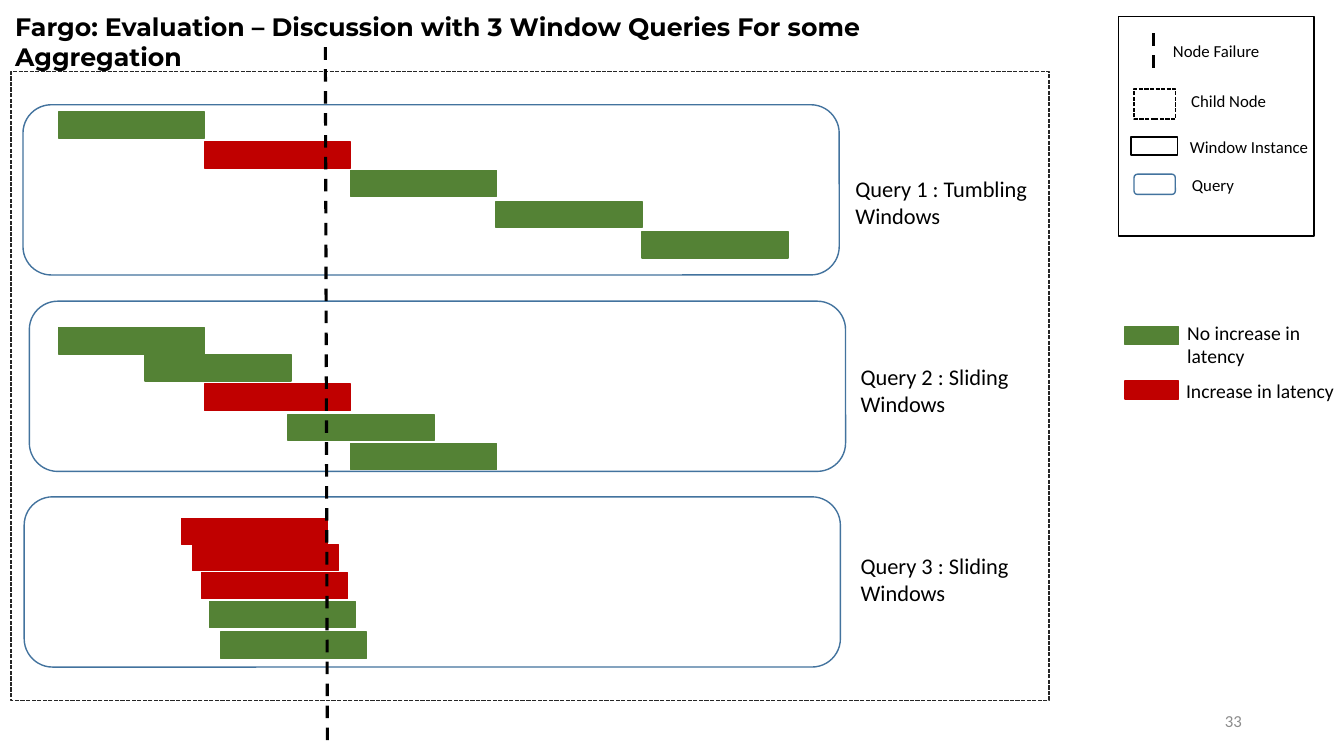
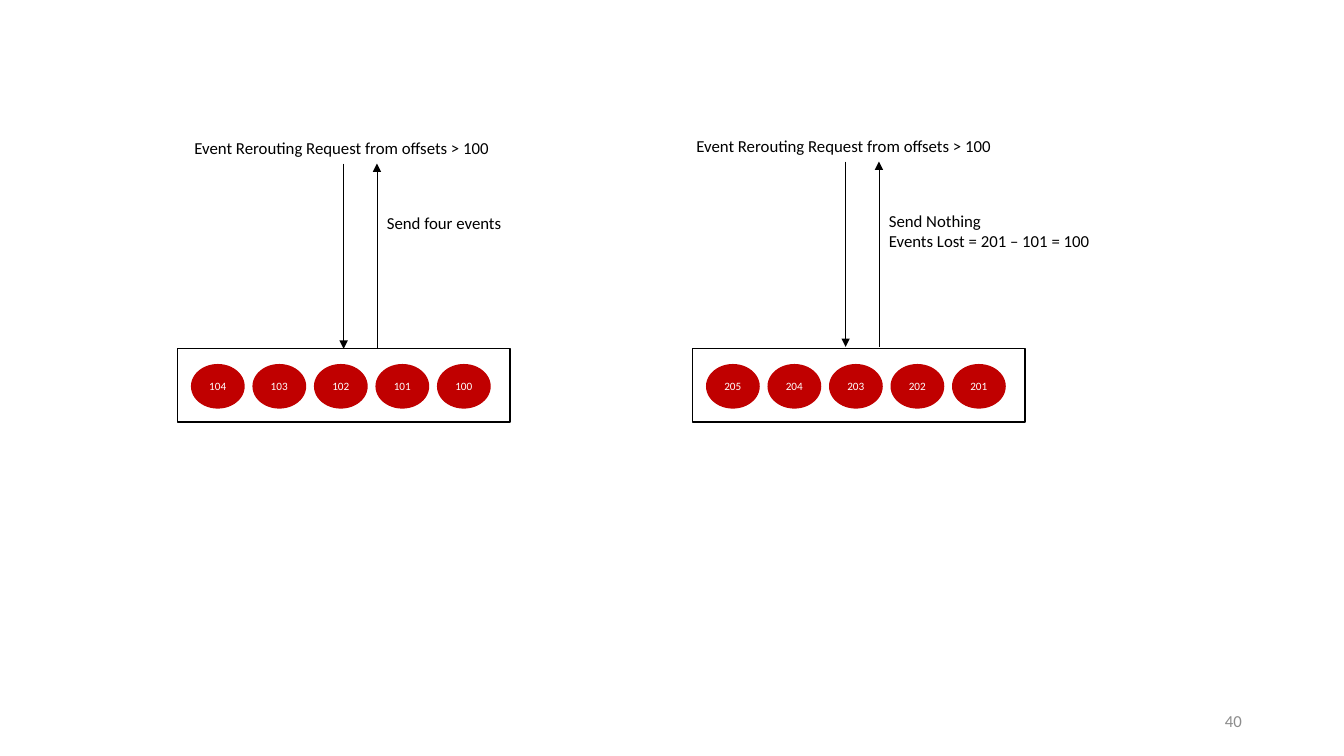
"""Build two slides on window query latency and event rerouting after a node failure."""
from lxml import etree
from pptx import Presentation
from pptx.dml.color import RGBColor
from pptx.enum import dml, shapes, text
from pptx.oxml.ns import qn
from pptx.util import Cm, Pt

BLACK = RGBColor(0x00, 0x00, 0x00)
WHITE = RGBColor(0xFF, 0xFF, 0xFF)
GREY = RGBColor(0x8C, 0x8C, 0x8C)
CHARCOAL = RGBColor(0x26, 0x26, 0x26)
BLUE = RGBColor(0x43, 0x73, 0x9E)
GREEN = RGBColor(0x54, 0x82, 0x35)
RED = RGBColor(0xC0, 0x00, 0x00)

BODY_FONT, TITLE_FONT = "Calibri", "Montserrat"
RECTANGLE = shapes.MSO_SHAPE.RECTANGLE
ROUNDED = shapes.MSO_SHAPE.ROUNDED_RECTANGLE
OVAL = shapes.MSO_SHAPE.OVAL
DASH = dml.MSO_LINE.DASH
FINE_DASH = dml.MSO_LINE.SQUARE_DOT

TITLE = "Fargo: Evaluation – Discussion with 3 Window Queries For some Aggregation"
QUERY_SIZE = (20.57, 4.29)
WINDOW_SIZE = (3.68, 0.66)
QUERIES = [
    {"frame": (0.58, 2.64), "label": "Query 1 : Tumbling Windows", "label_at": (21.31, 4.29),
     "windows": [(1.47, 2.82, GREEN), (5.16, 3.58, RED), (8.84, 4.29, GREEN),
                 (12.5, 5.08, GREEN), (16.18, 5.84, GREEN)]},
    {"frame": (0.74, 7.59), "label": "Query 2 : Sliding\nWindows", "label_at": (21.44, 9.02),
     "windows": [(1.47, 8.26, GREEN), (3.66, 8.94, GREEN), (5.16, 9.68, RED),
                 (7.26, 10.44, GREEN), (8.84, 11.18, GREEN)]},
    {"frame": (0.61, 12.52), "label": "Query 3 : Sliding\nWindows", "label_at": (21.44, 13.79),
     "windows": [(4.57, 13.06, RED), (4.85, 13.72, RED), (5.08, 14.43, RED),
                 (5.28, 15.16, GREEN), (5.56, 15.93, GREEN)]},
]
CHILD_NODE = (0.28, 1.8, 26.16, 15.85)
FAILURE_LINES = [(8.2, 1.19, 8.25, 18.67), (29.06, 0.84, 29.06, 1.85)]

LEGEND_PANEL = (28.19, 0.41, 4.93, 5.54)
LEGEND_KEYS = [
    (RECTANGLE, (28.58, 2.24, 1.04, 0.76), None, BLACK, FINE_DASH),
    (RECTANGLE, (28.5, 3.45, 1.17, 0.46), WHITE, BLACK, None),
    (ROUNDED, (28.58, 4.39, 1.04, 0.51), None, BLUE, None),
    (RECTANGLE, (28.35, 8.23, 1.35, 0.46), GREEN, GREEN, None),
    (RECTANGLE, (28.35, 9.6, 1.35, 0.46), RED, RED, None),
]
LEGEND_LABELS = [
    ("Node Failure", (29.31, 0.89, 2.72, 0.76), 12),
    ("Child Node", (29.77, 2.16, 2.41, 0.76), 12),
    ("Window Instance", (29.74, 3.33, 3.53, 0.76), 12),
    ("Query", (29.79, 4.29, 1.57, 0.76), 12),
    ("No increase in\nlatency", (29.67, 7.95, 3.38, 1.45), 14),
    ("Increase in latency", (29.64, 9.42, 4.27, 0.86), 14),
]

REQUEST = "Event Rerouting Request from offsets > 100"
BUFFER_SIZE = (8.38, 1.85)
EVENT_SIZE = (1.32, 1.09)
EVENT_PITCH = 1.55
EXCHANGES = [
    {"at": (4.65, 3.35), "buffer": (4.47, 8.79), "events": range(104, 99, -1),
     "reply": "Send four events", "reply_size": (3.53, 0.76)},
    {"at": (17.3, 3.3), "buffer": (17.45, 8.79), "events": range(205, 200, -1),
     "reply": "Send Nothing\nEvents Lost = 201 – 101 = 100", "reply_size": (5.64, 1.27)},
]


def lengths(values):
    return [Cm(value) for value in values]


def format_text(frame, content, size, color=BLACK, font=BODY_FONT, bold=False, align=None):
    frame.text = content
    for paragraph in frame.paragraphs:
        paragraph.alignment = align
        paragraph.font.name, paragraph.font.size = font, Pt(size)
        paragraph.font.color.rgb, paragraph.font.bold = color, bold


def add_label(slide, content, box, size, wrap=False, **style):
    frame = slide.shapes.add_textbox(*lengths(box)).text_frame
    frame.word_wrap = wrap
    format_text(frame, content, size, **style)
    return frame


def add_box(slide, kind, box, fill, outline, dash=None):
    shape = slide.shapes.add_shape(kind, *lengths(box))
    shape.shadow.inherit = False
    if fill is None:
        shape.fill.background()
    else:
        shape.fill.solid()
        shape.fill.fore_color.rgb = fill
    shape.line.color.rgb, shape.line.width = outline, Pt(1)
    if dash:
        shape.line.dash_style = dash
    return shape


def add_line(slide, ends, width, dash=None, arrow=False):
    line = slide.shapes.add_connector(shapes.MSO_CONNECTOR.STRAIGHT, *lengths(ends))
    line.line.color.rgb, line.line.width = BLACK, Pt(width)
    if dash:
        line.line.dash_style = dash
    if arrow:
        etree.SubElement(line.line._get_or_add_ln(), qn("a:tailEnd"), type="triangle")
    etree.SubElement(line._element.spPr, qn("a:effectLst"))
    return line


def add_page(presentation, layout, number):
    slide = presentation.slides.add_slide(presentation.slide_layouts.get_by_name(layout))
    frame = add_label(slide, str(number), (23.93, 17.65, 7.62, 1.02), 12, wrap=True,
                      color=GREY, align=text.PP_ALIGN.RIGHT)
    frame.vertical_anchor = text.MSO_ANCHOR.MIDDLE
    return slide


def build_queries(presentation):
    slide = add_page(presentation, "Title Only", 33)
    title = slide.shapes.title
    title.left, title.top, title.width, title.height = lengths((0.13, 0.15, 22.38, 2.57))
    title.text_frame.vertical_anchor = text.MSO_ANCHOR.TOP
    title.text_frame.auto_size = text.MSO_AUTO_SIZE.NONE
    format_text(title.text_frame, TITLE, 18, font=TITLE_FONT, bold=True,
                align=text.PP_ALIGN.LEFT)

    add_box(slide, RECTANGLE, CHILD_NODE, None, CHARCOAL, FINE_DASH)
    for query in QUERIES:
        add_box(slide, ROUNDED, query["frame"] + QUERY_SIZE, None, BLUE)
        for left, top, color in query["windows"]:
            add_box(slide, RECTANGLE, (left, top) + WINDOW_SIZE, color, color)
        add_label(slide, query["label"], query["label_at"] + (5.56, 1.63), 16, wrap=True)

    add_box(slide, RECTANGLE, LEGEND_PANEL, None, BLACK)
    for key in LEGEND_KEYS:
        add_box(slide, *key)
    for label in LEGEND_LABELS:
        add_label(slide, *label)
    for ends in FAILURE_LINES:
        add_line(slide, ends, 2.25, dash=DASH)


def build_rerouting(presentation):
    slide = add_page(presentation, "Blank", 40)
    for exchange in EXCHANGES:
        left, top = exchange["at"]
        buffer_left, buffer_top = exchange["buffer"]
        buffer = add_box(slide, RECTANGLE, exchange["buffer"] + BUFFER_SIZE, WHITE, BLACK)
        for index, event in enumerate(exchange["events"]):
            place = (buffer_left + 0.36 + index * EVENT_PITCH, buffer_top + 0.4)
            frame = add_box(slide, OVAL, place + EVENT_SIZE, RED, RED).text_frame
            frame.margin_left = frame.margin_right = 0
            frame.vertical_anchor = text.MSO_ANCHOR.MIDDLE
            format_text(frame, str(event), 8, color=WHITE, align=text.PP_ALIGN.CENTER)

        request_x, reply_x = left + 4.01, left + 4.85
        start, end = top + 0.77, top + 5.44
        add_label(slide, REQUEST, (left, top, 8.03, 0.76), 12)
        request = add_line(slide, (request_x, start, request_x, end), 0.5, arrow=True)
        if abs(request_x - buffer_left - BUFFER_SIZE[0] / 2) < 0.05:
            request.end_connect(buffer, 0)
        add_line(slide, (reply_x, end, reply_x, start), 0.5, arrow=True)
        add_label(slide, exchange["reply"],
                  (reply_x, top + 1.88) + exchange["reply_size"], 12)


def main():
    presentation = Presentation()
    presentation.slide_width, presentation.slide_height = Cm(33.87), Cm(19.05)
    build_queries(presentation)
    build_rerouting(presentation)
    presentation.save("out.pptx")


if __name__ == "__main__":
    main()
